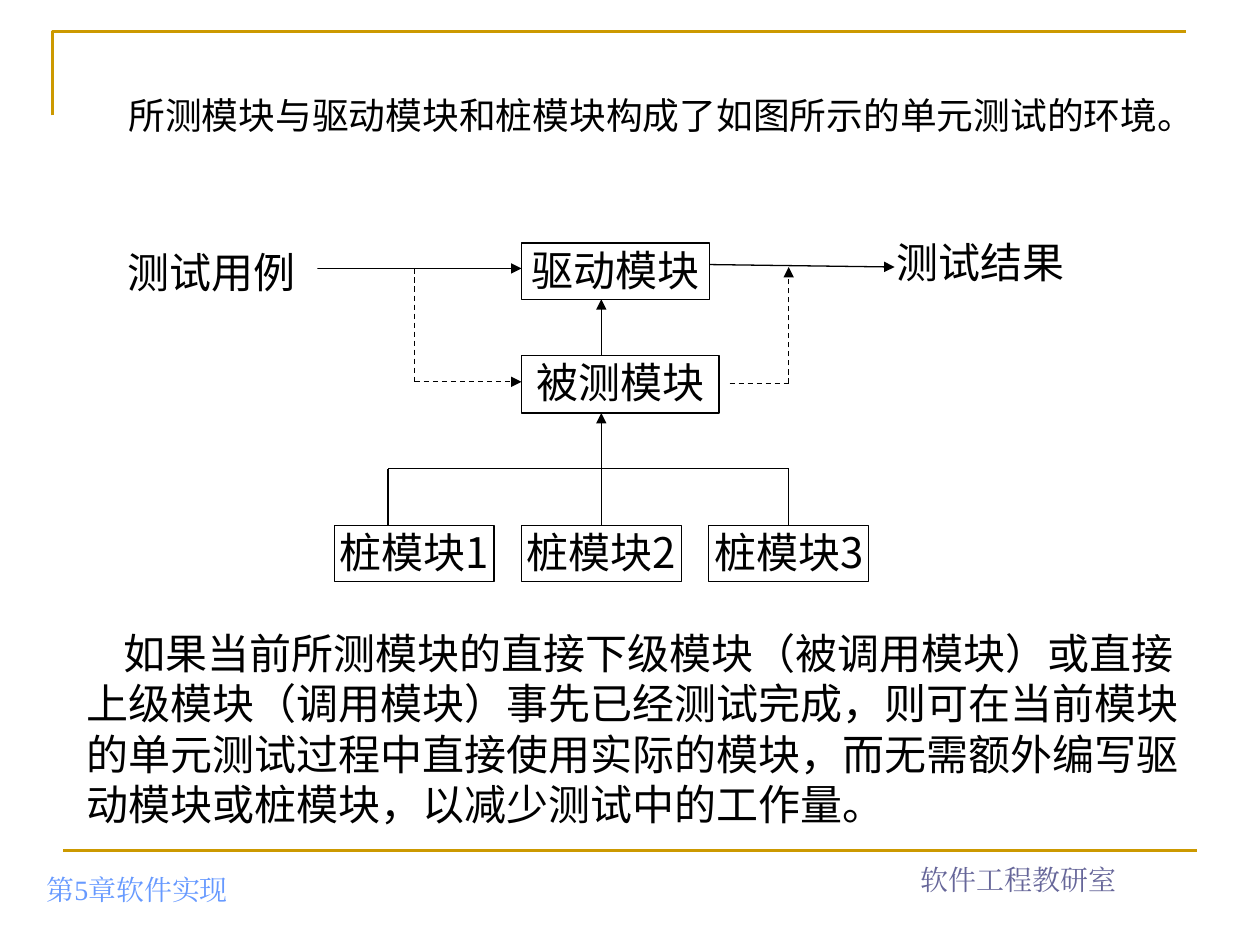
import lxml.etree
import pptx
import pptx.dml.color
import pptx.enum.dml
import pptx.enum.shapes
import pptx.enum.text
import pptx.oxml.ns
import pptx.util

Pt = pptx.util.Pt
Align = pptx.enum.text.PP_ALIGN
Anchor = pptx.enum.text.MSO_ANCHOR
qn = pptx.oxml.ns.qn


def color(hex_value):
    return pptx.dml.color.RGBColor.from_string(hex_value)


class UnitTestSlide:
    """Style of the unit test slide and the methods that draw on it."""

    sans = "Noto Sans CJK SC"
    serif = "Times New Roman"
    ink = "000000"
    paper = "FFFFFF"
    gold = "CC9900"

    def __init__(self, slide):
        self.slide = slide

    def set_text(self, frame, text, size=24, font=sans, ink=ink, align=Align.LEFT,
                 anchor=Anchor.TOP, insets=(7.2, 3.6), indent=0, spacing=None):
        frame.word_wrap = True
        frame.auto_size = pptx.enum.text.MSO_AUTO_SIZE.NONE
        frame.vertical_anchor = anchor
        frame.margin_left = frame.margin_right = Pt(insets[0])
        frame.margin_top = frame.margin_bottom = Pt(insets[1])
        paragraph = frame.paragraphs[0]
        paragraph.alignment = align
        paragraph.space_before = Pt(0)
        if spacing:
            paragraph.line_spacing = Pt(spacing)
        paragraph._p.get_or_add_pPr().set("indent", str(Pt(indent)))
        run = paragraph.add_run()
        run.text = text
        run.font.size = Pt(size)
        run.font.name = font
        run.font.color.rgb = color(ink)
        east_asian = lxml.etree.SubElement(run._r.get_or_add_rPr(), qn("a:ea"))
        east_asian.set("typeface", font)

    def title(self, text, left, top, width, height, **style):
        heading = self.slide.shapes.title
        heading.left, heading.top = Pt(left), Pt(top)
        heading.width, heading.height = Pt(width), Pt(height)
        self.set_text(heading.text_frame, text, **style)

    def text(self, text, left, top, width, height, **style):
        area = self.slide.shapes.add_textbox(Pt(left), Pt(top), Pt(width), Pt(height))
        self.set_text(area.text_frame, text, **style)

    def module(self, text, left, top, width, height, framed=True):
        box = self.slide.shapes.add_shape(
            pptx.enum.shapes.MSO_SHAPE.RECTANGLE, Pt(left), Pt(top), Pt(width), Pt(height))
        box.shadow.inherit = False
        box.fill.solid()
        box.fill.fore_color.rgb = color(self.paper)
        if framed:
            box.line.color.rgb = color(self.ink)
            box.line.width = Pt(0.75)
        else:
            box.line.fill.background()
        self.set_text(box.text_frame, text, align=Align.CENTER, insets=(1.44, 0.72), spacing=29)

    def line(self, start, end, ink=ink, width=0.75, arrow=False, dashed=False):
        connector = self.slide.shapes.add_connector(
            pptx.enum.shapes.MSO_CONNECTOR.STRAIGHT, *map(Pt, start + end))
        connector.line.color.rgb = color(ink)
        connector.line.width = Pt(width)
        if dashed:
            connector.line.dash_style = pptx.enum.dml.MSO_LINE.DASH
        properties = connector._element.spPr
        if arrow:
            tail = lxml.etree.SubElement(properties.find(qn("a:ln")), qn("a:tailEnd"))
            tail.set("type", "triangle")
        lxml.etree.SubElement(properties, qn("a:effectLst"))

    def corner(self, start, *points):
        builder = self.slide.shapes.build_freeform(Pt(start[0]), Pt(start[1]))
        builder.add_line_segments([(Pt(x), Pt(y)) for x, y in points], close=False)
        outline = builder.convert_to_shape()
        outline.shadow.inherit = False
        outline.fill.background()
        outline.line.color.rgb = color(self.gold)
        outline.line.width = Pt(1.5)


def main():
    deck = pptx.Presentation()
    deck.slide_width, deck.slide_height = Pt(720), Pt(540)
    page = UnitTestSlide(deck.slides.add_slide(deck.slide_layouts[5]))

    page.corner((30, 66), (30, 18), (678, 18))
    page.line((36, 486), (684, 486), ink=page.gold, width=1.5)
    footer = dict(size=16, font=page.serif, anchor=Anchor.BOTTOM)
    page.text("第5章软件实现", 19.5, 485.5, 227, 36, ink="6699FF", **footer)
    page.text("软件工程教研室", 468, 479.5, 228, 36, ink="666699", align=Align.CENTER, **footer)
    page.title("所测模块与驱动模块和桩模块构成了如图所示的单元测试的环境。",
               48.2, 49, 646.6, 62.6, size=21, indent=18, spacing=25.4)

    stub_left, stub_step, stub_top, stub_width = 191, 107, 300.2, 91.4
    left_axis, center_axis, right_axis = 221.8, 343.6, 450.7
    input_axis, input_level, output_level = 237, 153.4, 152.6
    tested_level, bus_level = 218.2, 267.8

    page.module("测试结果", 499, 134, 122.4, 31.7, framed=False)
    page.line((405.4, 151.2), (511.2, output_level), arrow=True)
    page.module("被测模块", 298, 203, 113, 33)
    page.module("驱动模块", 298, 138.8, 107.4, 32.2)
    for index in range(3):
        page.module(f"桩模块{index + 1}", stub_left + index * stub_step,
                    stub_top, stub_width, 32.2)

    page.line((175.7, input_level), (298, input_level), arrow=True)
    page.line((center_axis, 203), (center_axis, 171), arrow=True)
    page.line((center_axis, stub_top), (center_axis, 236), arrow=True)
    page.line((left_axis, bus_level), (right_axis, bus_level))
    for axis in (left_axis, right_axis):
        page.line((axis, stub_top), (axis, bus_level))

    page.line((input_axis, input_level), (input_axis, tested_level), dashed=True)
    page.line((input_axis, tested_level), (298, tested_level), dashed=True, arrow=True)
    page.line((416.9, 219.2), (right_axis, 219.2), dashed=True)
    page.line((right_axis, 219.2), (right_axis, output_level), dashed=True, arrow=True)
    page.module("测试用例", 60, 139.7, 121.4, 27.4, framed=False)

    page.text("如果当前所测模块的直接下级模块（被调用模块）或直接上级模块（调用模块）事先已经测试完成，"
              "则可在当前模块的单元测试过程中直接使用实际的模块，而无需额外编写驱动模块或桩模块，"
              "以减少测试中的工作量。", 42.5, 355, 646.6, 122.4, indent=21, spacing=28.8)

    deck.save("out.pptx")


if __name__ == "__main__":
    main()
